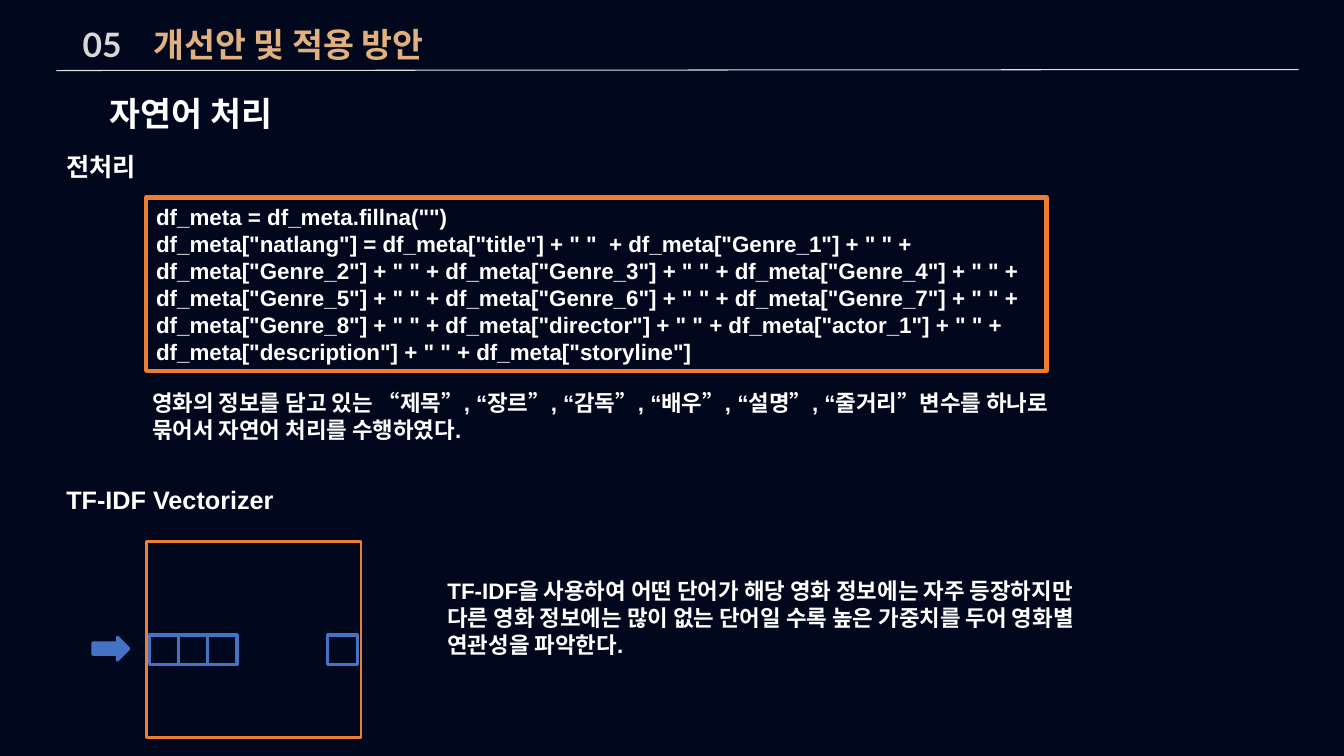
from dataclasses import dataclass

import pptx
import pptx.dml.color
import pptx.enum.shapes
import pptx.enum.text
import pptx.oxml
import pptx.oxml.ns
import pptx.util

COLOURS = {
    "night": "01081D",
    "number": "D8D8D8",
    "gold": "E0B07E",
    "white": "FFFFFF",
    "rule": "E1E1E2",
    "orange": "ED7D31",
    "blue": "4472C4",
}
WIDTH = pptx.util.Inches(13.33)
HEIGHT = pptx.util.Inches(7.5)
RECTANGLE = pptx.enum.shapes.MSO_SHAPE.RECTANGLE
ARROW = pptx.enum.shapes.MSO_SHAPE.RIGHT_ARROW
TOP = pptx.enum.text.MSO_ANCHOR.TOP
MIDDLE = pptx.enum.text.MSO_ANCHOR.MIDDLE


@dataclass(frozen=True)
class Area:
    """Position and size in percent of the slide."""
    left: float
    top: float
    width: float
    height: float


@dataclass(frozen=True)
class Span:
    text: str
    colour: str = "white"


@dataclass(frozen=True)
class Caption:
    area: Area
    text: str
    size: int
    font: str = "Arial"


@dataclass(frozen=True)
class Figure:
    area: Area
    line: str
    weight: float
    fill: str = ""
    kind: pptx.enum.shapes.MSO_SHAPE = RECTANGLE


TITLE_AREA = Area(5.4, 2.53, 43.74, 6.67)
TITLE_SPANS = [Span("05\t", "number"), Span("개선안 및 적용 방안", "gold")]
TITLE_TAB = pptx.util.Inches(0.7)

CAPTIONS = [
    Caption(Area(7.43, 11.6, 14.93, 6.67), "자연어 처리", 24, "Lato"),
    Caption(Area(4.2, 19.33, 8.18, 5.33), "전처리", 18),
    Caption(
        Area(10.58, 50.8, 68.19, 8.53),
        "영화의 정보를 담고 있는 “제목”, “장르”, “감독”, “배우”, “설명”, “줄거리”변수를 "
        "하나로 묶어서 자연어 처리를 수행하였다.",
        16,
    ),
    Caption(Area(4.2, 63.47, 18.15, 5.33), "TF-IDF Vectorizer", 18),
    Caption(
        Area(32.56, 75.73, 48.16, 12.13),
        "TF-IDF을 사용하여 어떤 단어가 해당 영화 정보에는 자주 등장하지만 다른 영화 정보에는 "
        "많이 없는 단어일 수록 높은 가중치를 두어 영화별 연관성을 파악한다.",
        16,
    ),
]

CODE_FRAME = Figure(Area(10.88, 26.13, 66.99, 22.93), "orange", 3)
CODE_LINES = [
    'df_meta = df_meta.fillna("")',
    'df_meta["natlang"] = df_meta["title"] + " "  + df_meta["Genre_1"] + " " +',
    'df_meta["Genre_2"] + " " + df_meta["Genre_3"] + " " + df_meta["Genre_4"] + " " +',
    'df_meta["Genre_5"] + " " + df_meta["Genre_6"] + " " + df_meta["Genre_7"] + " " +',
    'df_meta["Genre_8"] + " " + df_meta["director"] + " " + df_meta["actor_1"] + " " +',
    'df_meta["description"] + " " + df_meta["storyline"]',
]

CELL_WIDTH = 2.18
CELL_COLUMNS = (0, 1, 2, 6.1)
MATRIX = [
    Figure(Area(10.88, 71.6, 15.98, 26), "orange", 2, "night"),
    Figure(Area(6.9, 84.27, 2.7, 3.07), "blue", 2, "blue", ARROW),
    *(
        Figure(Area(11.1 + column * CELL_WIDTH, 84, CELL_WIDTH, 3.87), "blue", 2.25)
        for column in CELL_COLUMNS
    ),
]


def colour(name: str) -> pptx.dml.color.RGBColor:
    return pptx.dml.color.RGBColor.from_string(COLOURS[name])


def across(share: float) -> int:
    return round(WIDTH * share / 100)


def down(share: float) -> int:
    return round(HEIGHT * share / 100)


def bounds(area: Area) -> tuple[int, int, int, int]:
    return across(area.left), down(area.top), across(area.width), down(area.height)


def apply(target: object, values: dict[str, object]) -> None:
    for name, value in values.items():
        setattr(target, name, value)


def write(para, spans: list[Span], size: int, font: str) -> None:
    apply(para, {"alignment": pptx.enum.text.PP_ALIGN.LEFT, "line_spacing": 1.0})
    for span in spans:
        run = para.add_run()
        run.text = span.text
        apply(run.font, {"name": font, "size": pptx.util.Pt(size), "bold": True})
        run.font.color.rgb = colour(span.colour)


def prepare_frame(frame, anchor: pptx.enum.text.MSO_ANCHOR) -> None:
    apply(frame, {
        "word_wrap": True,
        "auto_size": pptx.enum.text.MSO_AUTO_SIZE.NONE,
        "vertical_anchor": anchor,
    })


def draw_title(page) -> None:
    title = page.shapes.title
    apply(title, dict(zip(("left", "top", "width", "height"), bounds(TITLE_AREA))))
    prepare_frame(title.text_frame, TOP)
    para = title.text_frame.paragraphs[0]
    tabs = pptx.oxml.parse_xml(
        f'<a:tabLst {pptx.oxml.ns.nsdecls("a")}><a:tab pos="{TITLE_TAB}" algn="l"/></a:tabLst>'
    )
    para._p.get_or_add_pPr().append(tabs)
    write(para, TITLE_SPANS, 24, "Lato")


def draw_rule(page) -> None:
    rule = page.shapes.add_connector(
        pptx.enum.shapes.MSO_CONNECTOR.STRAIGHT,
        across(4.2), down(9.33), across(96.62), down(9.2),
    )
    rule.line.color.rgb = colour("rule")
    rule.line.width = pptx.util.Pt(0.75)
    rule._element.spPr.append(
        pptx.oxml.parse_xml(f'<a:effectLst {pptx.oxml.ns.nsdecls("a")}/>')
    )


def draw_caption(page, caption: Caption) -> None:
    box = page.shapes.add_textbox(*bounds(caption.area))
    prepare_frame(box.text_frame, TOP)
    write(box.text_frame.paragraphs[0], [Span(caption.text)], caption.size, caption.font)


def draw_figure(page, figure: Figure):
    shape = page.shapes.add_shape(figure.kind, *bounds(figure.area))
    shape.shadow.inherit = False
    if figure.fill:
        shape.fill.solid()
        shape.fill.fore_color.rgb = colour(figure.fill)
    else:
        shape.fill.background()
    shape.line.color.rgb = colour(figure.line)
    shape.line.width = pptx.util.Pt(figure.weight)
    return shape


def draw_code(page) -> None:
    frame = draw_figure(page, CODE_FRAME).text_frame
    prepare_frame(frame, MIDDLE)
    for index, line in enumerate(CODE_LINES):
        para = frame.add_paragraph() if index else frame.paragraphs[0]
        write(para, [Span(line)], 16, "Arial")


def main() -> None:
    deck = pptx.Presentation()
    apply(deck, {"slide_width": WIDTH, "slide_height": HEIGHT})
    page = deck.slides.add_slide(deck.slide_layouts.get_by_name("Title Only"))
    page.background.fill.solid()
    page.background.fill.fore_color.rgb = colour("night")
    draw_title(page)
    draw_rule(page)
    for caption in CAPTIONS:
        draw_caption(page, caption)
    draw_code(page)
    for figure in MATRIX:
        draw_figure(page, figure)
    deck.save("out.pptx")


if __name__ == "__main__":
    main()
